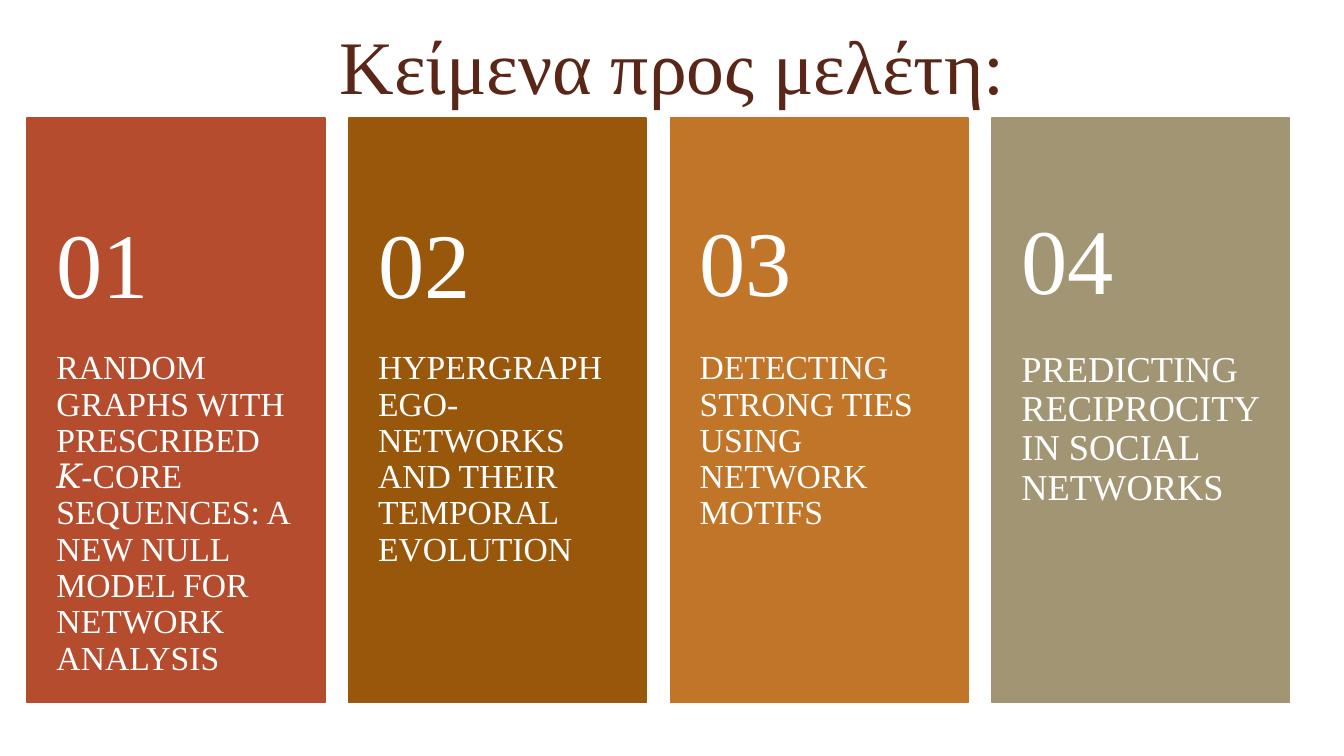
from dataclasses import dataclass

from lxml import etree
from pptx import Presentation
from pptx.dml.color import RGBColor
from pptx.enum.shapes import MSO_SHAPE
from pptx.enum.text import MSO_ANCHOR, PP_ALIGN
from pptx.oxml.ns import qn
from pptx.util import Inches, Pt

RECTANGLE = MSO_SHAPE.RECTANGLE
TOP, MIDDLE = MSO_ANCHOR.TOP, MSO_ANCHOR.MIDDLE
LEFT, CENTER = PP_ALIGN.LEFT, PP_ALIGN.CENTER


@dataclass(frozen=True)
class Theme:
    """Colours, font and type sizes of the slide."""
    font: str = "Times New Roman"
    title_color: str = "5A2617"
    text_color: str = "FFFFFF"
    shadow_color: str = "000000"
    title_size: int = 54
    number_size: int = 66
    line_spacing: float = 0.9
    border_width: float = 1.25


THEME = Theme()
TITLE = "Κείμενα προς μελέτη:"
TITLE_BOX = (1.01, 0, 11.32, 1.38)
CARDS_LEFT, CARDS_TOP, CARD_STEP = 0.27, 1.17, 3.19
CARD_WIDTH, CARD_HEIGHT = 2.95, 5.8

# Each card: fill colour, text size, number offset from the card top, text
CARDS = [
    ("B54C2D", 24, 0.78, "RANDOM GRAPHS WITH PRESCRIBED 𝐾-CORE SEQUENCES: "
                         "A NEW NULL MODEL FOR NETWORK ANALYSIS"),
    ("99570C", 24, 0.78, "HYPERGRAPH EGO-NETWORKS AND THEIR TEMPORAL EVOLUTION"),
    ("C17529", 24, 0.76, "DETECTING STRONG TIES USING NETWORK MOTIFS"),
    ("A19574", 26, 0.74, "PREDICTING RECIPROCITY IN SOCIAL NETWORKS"),
]


def add_text(slide, box, text, size, color, anchor, alignment, margins):
    """Add a one-paragraph text box and return its paragraph."""
    frame = slide.shapes.add_textbox(*map(Inches, box)).text_frame
    frame.word_wrap = True
    frame.vertical_anchor = anchor
    (frame.margin_left, frame.margin_top,
     frame.margin_right, frame.margin_bottom) = map(Inches, margins)
    paragraph = frame.paragraphs[0]
    paragraph.text = text
    paragraph.alignment = alignment
    paragraph.line_spacing = THEME.line_spacing
    paragraph.font.name = THEME.font
    paragraph.font.size = Pt(size)
    paragraph.font.color.rgb = RGBColor.from_string(color)
    return paragraph


def add_text_shadow(run):
    """Give the letters of a run a soft shadow to the lower right."""
    properties = run.font._element if hasattr(run.font, "_element") else run._r.get_or_add_rPr()
    effects = etree.SubElement(properties, qn("a:effectLst"))
    shadow = etree.SubElement(effects, qn("a:outerShdw"), blurRad="38100",
                              dist="38100", dir="2700000", algn="tl")
    color = etree.SubElement(shadow, qn("a:srgbClr"), val=THEME.shadow_color)
    etree.SubElement(color, qn("a:alpha"), val="43000")


def add_title(slide, box):
    """Add the centred title with its shadow."""
    paragraph = add_text(slide, box, TITLE, THEME.title_size, THEME.title_color,
                         MIDDLE, CENTER, (0.1, 0.05, 0.1, 0.05))
    add_text_shadow(paragraph.runs[0])


def add_card(slide, box, number, color, text_size, number_offset, text):
    """Add one coloured card with its number and text."""
    left, top, width, height = box
    card = slide.shapes.add_shape(RECTANGLE, *map(Inches, box))
    card.shadow.inherit = False
    card.fill.solid()
    card.fill.fore_color.rgb = RGBColor.from_string(color)
    card.line.color.rgb = RGBColor.from_string(color)
    card.line.width = Pt(THEME.border_width)
    add_text(slide, (left, top + 0.4 * height - 0.01, width, 0.6 * height), text,
             text_size, THEME.text_color, TOP, LEFT, (0.29, 0, 0.29, 0.36))
    add_text(slide, (left, top + number_offset, width, 1.42), f"{number:02d}",
             THEME.number_size, THEME.text_color, MIDDLE, LEFT,
             (0.29, 0.18, 0.29, 0.18))


def main():
    """Build the slide and save it."""
    presentation = Presentation()
    presentation.slide_width = Inches(13.33)
    presentation.slide_height = Inches(7.5)
    slide = presentation.slides.add_slide(presentation.slide_layouts[6])
    add_title(slide, TITLE_BOX)
    for index, card in enumerate(CARDS):
        box = (CARDS_LEFT + index * CARD_STEP, CARDS_TOP, CARD_WIDTH, CARD_HEIGHT)
        add_card(slide, box, index + 1, *card)
    presentation.save("out.pptx")


if __name__ == "__main__":
    main()
